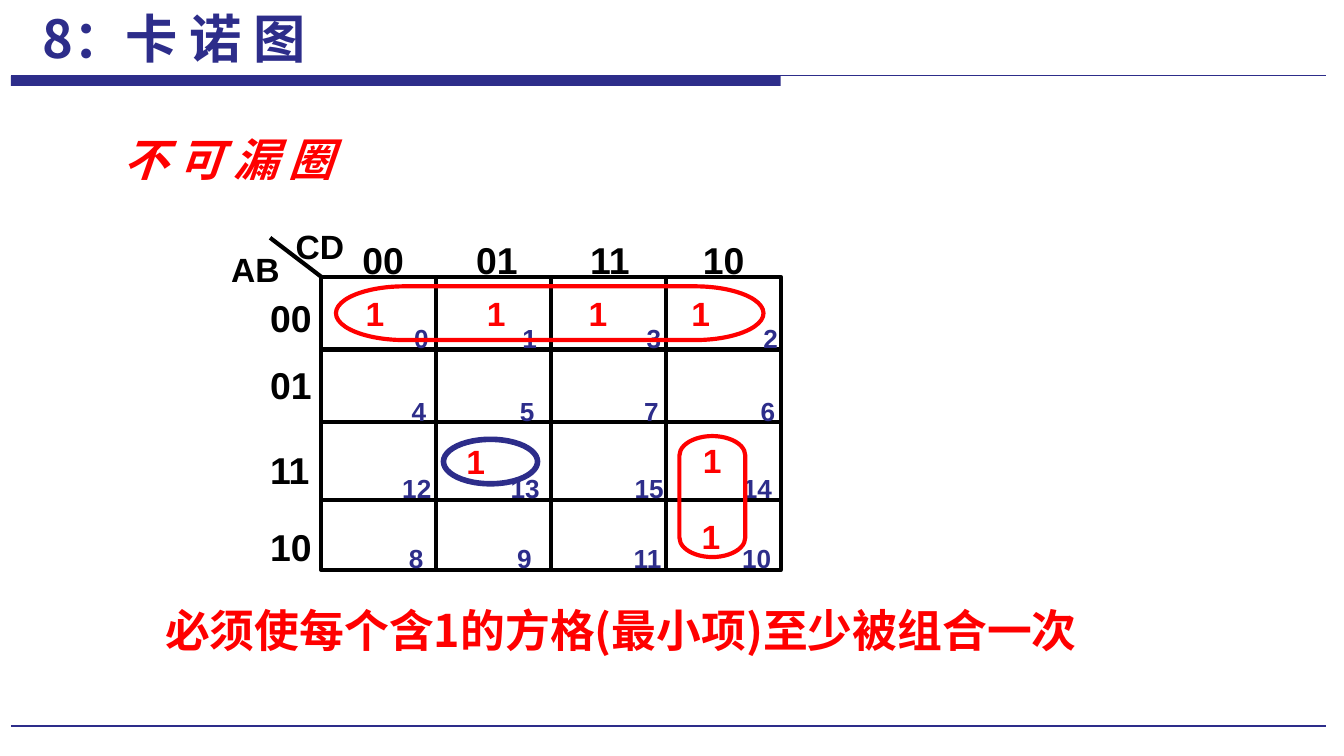
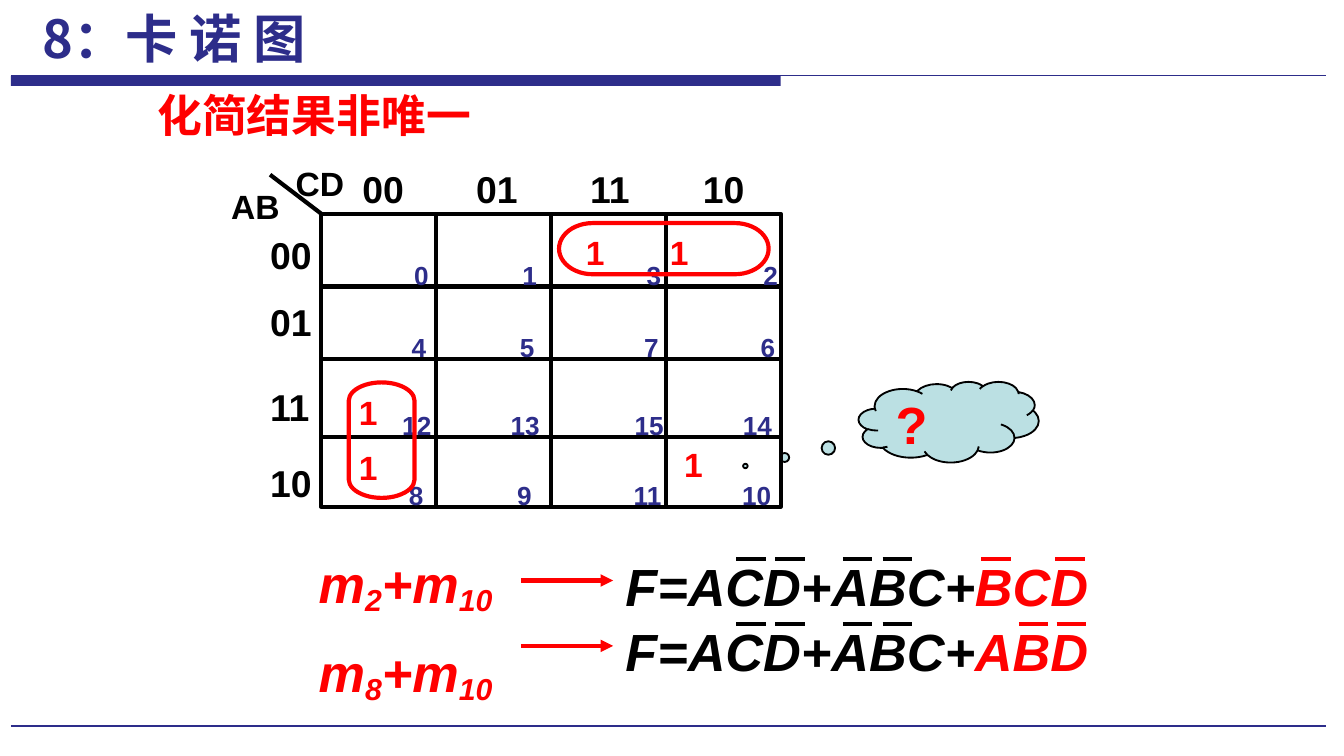
from dataclasses import dataclass
from lxml.etree import SubElement
from pptx import Presentation
from pptx.dml.color import RGBColor
from pptx.enum.shapes import MSO_CONNECTOR, MSO_SHAPE
from pptx.enum.text import MSO_ANCHOR, MSO_AUTO_SIZE, PP_ALIGN
from pptx.oxml.ns import qn
from pptx.util import Pt


@dataclass(frozen=True)
class Theme:
    navy: RGBColor = RGBColor(0x2D, 0x2D, 0x8A)
    red: RGBColor = RGBColor(0xFF, 0x00, 0x00)
    black: RGBColor = RGBColor(0x00, 0x00, 0x00)
    cloud: RGBColor = RGBColor(0xBB, 0xE0, 0xE3)
    latin: str = "Arial"
    chinese: str = "Noto Sans CJK SC"
    title: int = 28
    formula: int = 28
    heading: int = 24
    label: int = 20
    mark: int = 18
    index: int = 14
    rule: float = 2.25


theme = Theme()


def write(box, paragraphs, size, color, font=theme.latin, italic=False, inset=(6.5, 3.2),
          indent=0, stops=(), spacing=0.9):
    """Fill a box; each paragraph is a list of (text, colour or None, baseline) spans."""
    frame = box.text_frame
    frame.word_wrap = True
    frame.vertical_anchor = MSO_ANCHOR.TOP
    frame.margin_left, frame.margin_right = Pt(inset[0] + indent), Pt(inset[0])
    frame.margin_top = frame.margin_bottom = Pt(inset[1])
    for number, spans in enumerate(paragraphs):
        para = frame.add_paragraph() if number else frame.paragraphs[0]
        if stops:
            tabs = SubElement(para._p.get_or_add_pPr(), qn("a:tabLst"))
            for stop in stops:
                SubElement(tabs, qn("a:tab"), pos=str(Pt(stop)), algn="l")
        para.alignment = PP_ALIGN.LEFT
        para.line_spacing = spacing
        if number:
            para.space_before = Pt(round(size * 0.57))
        for text, tint, baseline in spans:
            span = para.add_run()
            span.text = text
            span.font.size = Pt(size)
            span.font.bold = True
            span.font.italic = italic
            span.font.color.rgb = tint or color
            span.font.name = font
            properties = span._r.get_or_add_rPr()
            SubElement(properties, qn("a:ea"), typeface=font)
            if baseline:
                properties.set("baseline", str(baseline * 1000))
    return frame


def stroke(shapes, start, end, color=theme.black, width=theme.rule, arrow=False):
    line = shapes.add_connector(MSO_CONNECTOR.STRAIGHT, *map(Pt, start + end))
    line.line.color.rgb = color
    line.line.width = Pt(width)
    if arrow:
        SubElement(line.line._get_or_add_ln(), qn("a:tailEnd"), type="triangle")
    SubElement(line._element.spPr, qn("a:effectLst"))


deck = Presentation()
deck.slide_width, deck.slide_height = Pt(720), Pt(405)
pages = [deck.slides.add_slide(deck.slide_layouts[6]) for _ in range(2)]
missing_page, choice_page = pages

# Shared title, band and footer rule
for page in pages:
    band = page.shapes.add_shape(MSO_SHAPE.RECTANGLE, Pt(5.8), Pt(40.6), Pt(412.5), Pt(5.4))
    band.shadow.inherit = False
    band.fill.solid()
    band.fill.fore_color.rgb = theme.navy
    band.line.fill.background()
    stroke(page.shapes, (5.8, 40.6), (710.6, 40.6), theme.navy, 0.75)
    stroke(page.shapes, (5.8, 388.8), (710.6, 388.8), theme.navy, 1.25)
    box = page.shapes.add_textbox(Pt(12.2), Pt(0), Pt(162), Pt(41))
    frame = write(box, [[("8：卡 诺 图", None, 0)]], theme.title, theme.navy, theme.chinese,
                  inset=(7.2, 3.6), spacing=1.0)
    frame.word_wrap = False
    frame.paragraphs[0].alignment = PP_ALIGN.CENTER

# Loops round neighbouring cells: page, kind, frame, rotation, colour, width
loops = [
    (missing_page, MSO_SHAPE.OVAL, (237.6, 235.4, 50.4, 23.8), 0, theme.navy, 3),
    (missing_page, MSO_SHAPE.FLOWCHART_TERMINATOR, (180, 153.4, 229, 28.8), 0, theme.red, theme.rule),
    (missing_page, MSO_SHAPE.FLOWCHART_TERMINATOR, (349.2, 248.4, 64.8, 35.3), 90, theme.red, theme.rule),
    (choice_page, MSO_SHAPE.FLOWCHART_TERMINATOR, (299.5, 119.5, 112.3, 27.4), 0, theme.red, theme.rule),
    (choice_page, MSO_SHAPE.FLOWCHART_TERMINATOR, (173.5, 218.2, 61.9, 35.3), 90, theme.red, theme.rule),
]

# Second page: question cloud, placed beneath the map
cloud = choice_page.shapes.add_shape(MSO_SHAPE.CLOUD_CALLOUT, Pt(460), Pt(204.5), Pt(96.5), Pt(43.2))
cloud.adjustments[0], cloud.adjustments[1] = -1.129, 0.546
cloud.shadow.inherit = False
cloud.fill.solid()
cloud.fill.fore_color.rgb = theme.cloud
cloud.line.color.rgb = theme.black
cloud.line.width = Pt(1)
write(cloud, [[("?", None, 0)]], theme.formula, theme.red)

# Karnaugh maps: top of the grid and height of the column labels above it
grid_left, grid_width, grid_height = 172.1, 246.2, 157
row_lines = (39, 78, 119.5)
row_labels = [("00", 9.4), ("01", 45.4), ("11", 90.7), ("10", 131.8)]
index_rows = [
    ("0\t1\t3\t2", 212.4, 23, (58, 124.5, 187)),
    ("4\t5\t7\t6", 211, 62, (58, 124.5, 187)),
    ("12\t13\t15\t14", 206, 103.7, (58, 124.5, 182.5)),
    ("8\t9\t11\t10", 209.5, 141.1, (58, 120.5, 178.5)),
]
for page, top, label_rise in ((missing_page, 148.3, 21.6), (choice_page, 114.5, 26)):
    grid = page.shapes.add_group_shape().shapes
    box = grid.add_textbox(Pt(165.6), Pt(top - label_rise), Pt(252.7), Pt(28))
    write(box, [[("00\t01\t11\t10", None, 0)]], theme.label, theme.black,
          indent=22, stops=(61, 122, 182.5))
    outline = grid.add_shape(MSO_SHAPE.RECTANGLE, Pt(grid_left), Pt(top), Pt(grid_width), Pt(grid_height))
    outline.shadow.inherit = False
    outline.fill.background()
    outline.line.color.rgb = theme.black
    outline.line.width = Pt(theme.rule)
    for offset in row_lines:
        stroke(grid, (grid_left, top + offset), (grid_left + grid_width, top + offset))
    for column in range(1, 4):
        across = grid_left + column * grid_width / 4
        stroke(grid, (across, top), (across, top + grid_height))
    stroke(grid, (grid_left, top), (144.7, top - 20.9))
    for text, offset in row_labels:
        box = grid.add_textbox(Pt(138.2), Pt(top + offset), Pt(47.5), Pt(28))
        write(box, [[(text, None, 0)]], theme.label, theme.black)
    for text, left, rise in (("CD", 151.9, 28), ("AB", 117.4, 15.5)):
        box = grid.add_textbox(Pt(left), Pt(top - rise), Pt(61.5), Pt(26))
        write(box, [[(text, None, 0)]], theme.mark, theme.black)
    for text, left, offset, stops in index_rows:
        box = grid.add_textbox(Pt(left), Pt(top + offset), Pt(234), Pt(21.6))
        write(box, [[(text, None, 0)]], theme.index, theme.navy, indent=3, stops=stops)

for page, kind, place, rotation, color, width in loops:
    loop = page.shapes.add_shape(kind, *map(Pt, place))
    loop.rotation = rotation
    loop.shadow.inherit = False
    loop.fill.background()
    loop.line.color.rgb = color
    loop.line.width = Pt(width)

# Ones in the cells: page, lines, left, top, width, tab stops
ones = [
    (missing_page, ["1\t1\t1\t1"], 189.4, 156.2, 219, (65, 119.5, 174.5)),
    (missing_page, ["1"], 369.4, 275.8, 51, ()),
    (missing_page, ["1"], 370, 234.7, 51, ()),
    (missing_page, ["1"], 243.4, 235.4, 51, ()),
    (choice_page, ["1\t1"], 307.4, 123.5, 110, (45,)),
    (choice_page, ["1"], 360, 237.2, 52, ()),
    (choice_page, ["1", "1"], 185.7, 209.2, 110, ()),
]
for page, lines, left, top, width, stops in ones:
    box = page.shapes.add_textbox(Pt(left), Pt(top), Pt(width), Pt(26 + 29 * (len(lines) - 1)))
    write(box, [[(line, None, 0)] for line in lines], theme.mark, theme.red, stops=stops)

# Headings and the rule of the first page
heading = missing_page.shapes.add_textbox(Pt(59.8), Pt(70.6), Pt(170.6), Pt(32.4))
frame = write(heading, [[("不 可 漏 圈", None, 0)]], theme.heading, theme.red, theme.chinese, italic=True)
properties = frame.paragraphs[0].runs[0]._r.get_or_add_rPr()
effects = SubElement(properties, qn("a:effectLst"))
shadow = SubElement(effects, qn("a:outerShdw"), dist=str(Pt(2)), dir="2700000")
SubElement(shadow, qn("a:srgbClr"), val="808080")
properties.find(qn("a:solidFill")).addnext(effects)

conclusion = missing_page.shapes.add_textbox(Pt(81.4), Pt(322.6), Pt(505.4), Pt(60))
write(conclusion, [[("必须使每个含1的方格(最小项)至少被组合一次", None, 0)]],
      theme.heading, theme.red, theme.chinese, inset=(7.2, 3.6))
heading = choice_page.shapes.add_textbox(Pt(77.8), Pt(46.8), Pt(394.6), Pt(32.4))
write(heading, [[("化简结果非唯一", None, 0)]], theme.heading, theme.red, theme.chinese)

# Second page: minterm pairs and the two results
pairs = choice_page.shapes.add_textbox(Pt(164.2), Pt(294.5), Pt(135.4), Pt(84.2))
write(pairs, [[("m", None, 0), (first, None, -15), ("+m", None, 0), ("10", None, -15)]
              for first in ("2", "8")], theme.formula, theme.red, italic=True)

shared_bars = (394.4, 415.3, 451.5, 472.8)
results = [("BCD", (525.6, 565.2)), ("ABD", (545.8, 566))]
for number, (last_term, last_bars) in enumerate(results):
    drop = 35 * number
    result = choice_page.shapes.add_group_shape().shapes
    box = result.add_textbox(Pt(328), Pt(297.2 + drop), Pt(273), Pt(37.4))
    write(box, [[("F=ACD+ABC+", None, 0), (last_term, theme.red, 0)]], theme.formula, theme.black,
          italic=True, inset=(7.2, 3.6))
    for left in shared_bars + last_bars:
        color = theme.red if left in last_bars else theme.black
        stroke(result, (left, 299.5 + drop), (left + 15.8, 299.5 + drop), color)
    stroke(choice_page.shapes, (279, 311 + drop), (328.5, 311 + drop), theme.red, arrow=True)

# Text boxes grow with their text
for page in pages:
    for shape in page.shapes:
        for item in (shape.shapes if hasattr(shape, "shapes") else [shape]):
            if item.has_text_frame and item.text_frame.text and item != cloud:
                item.text_frame.auto_size = MSO_AUTO_SIZE.SHAPE_TO_FIT_TEXT

deck.save("out.pptx")
